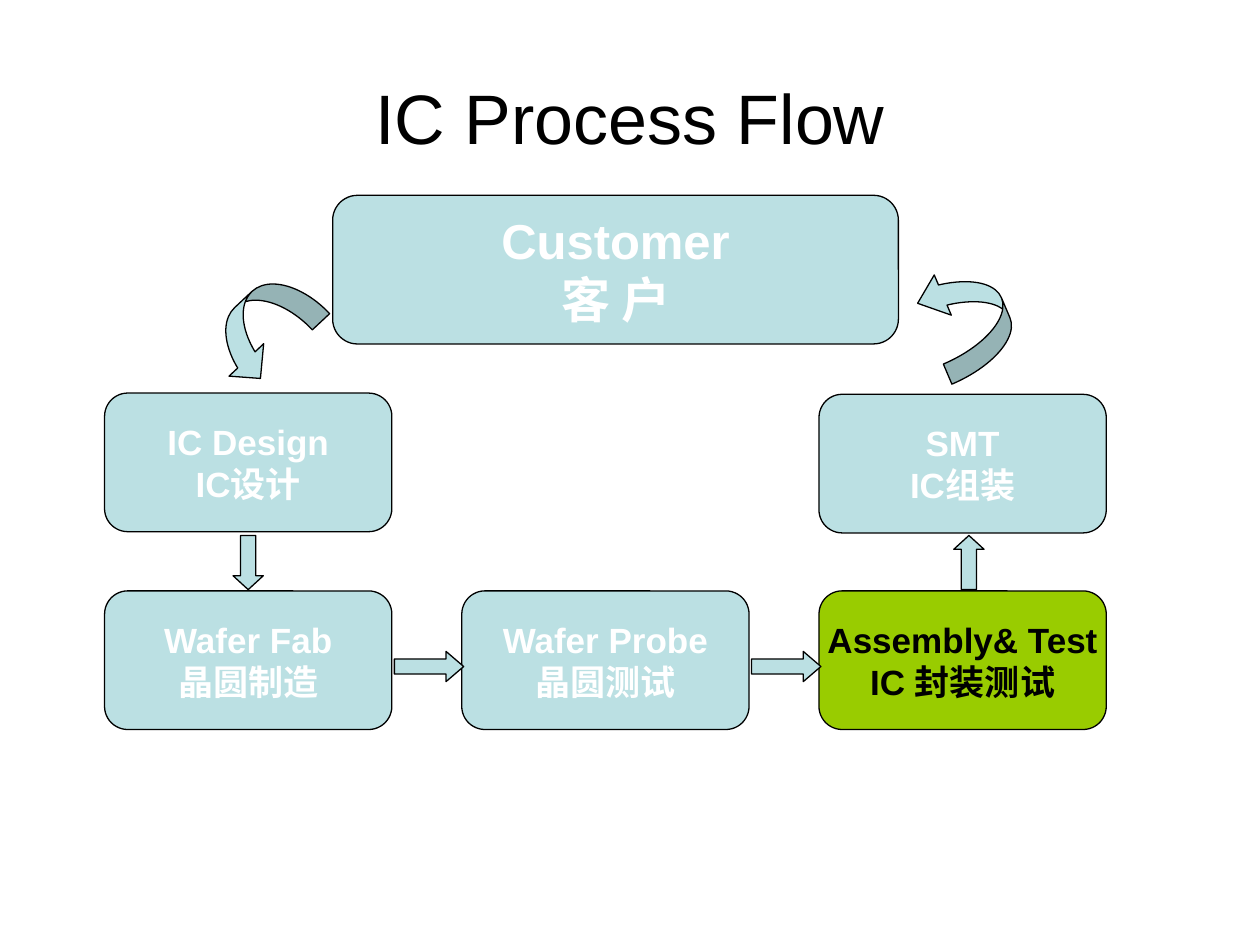
from pptx import Presentation
from pptx.dml.color import RGBColor
from pptx.enum.shapes import MSO_SHAPE
from pptx.enum.text import MSO_ANCHOR, PP_ALIGN
from pptx.util import Inches, Pt

THEME = {
    "font": "Arial",
    "pale": RGBColor(0xBB, 0xE0, 0xE3),
    "accent": RGBColor(0x99, 0xCC, 0x00),
    "dark": RGBColor(0, 0, 0),
    "light": RGBColor(0xFF, 0xFF, 0xFF),
    "title": Pt(40),
    "customer": Pt(28),
    "step": Pt(20),
    "line": Pt(0.75),
}

# Grid of process steps, in inches
BOX_WIDTH, BOX_HEIGHT = 2.28, 1.1
columns = [0.83 + 2.835 * index for index in range(3)]
rows = [3.12 + 1.57 * index for index in range(2)]

deck = Presentation()
deck.slide_width, deck.slide_height = Inches(10), Inches(7.5)
page = deck.slides.add_slide(deck.slide_layouts[5])


def add_block(kind, left, top, width, height, fill=THEME["pale"], adjustments=()):
    shape = page.shapes.add_shape(
        kind, Inches(left), Inches(top), Inches(width), Inches(height))
    shape.shadow.inherit = False
    shape.fill.solid()
    shape.fill.fore_color.rgb = fill
    shape.line.color.rgb = THEME["dark"]
    shape.line.width = THEME["line"]
    for index, value in enumerate(adjustments):
        shape.adjustments[index] = value
    return shape


def format_text(frame, size, color, bold):
    frame.vertical_anchor = MSO_ANCHOR.MIDDLE
    for para in frame.paragraphs:
        para.alignment = PP_ALIGN.CENTER
        for span in para.runs:
            span.font.name = THEME["font"]
            span.font.size = size
            span.font.bold = bold
            span.font.color.rgb = color


# Title
title = page.shapes.title
title.left, title.top = Inches(0.5), Inches(0.3)
title.width, title.height = Inches(9), Inches(1.25)
title.text_frame.text = "IC Process Flow"
format_text(title.text_frame, THEME["title"], THEME["dark"], False)

# Customer and process steps: text, place, size, type size, fill, text colour
step = (BOX_WIDTH, BOX_HEIGHT, THEME["step"])
plain = (THEME["pale"], THEME["light"])
boxes = [
    ("Customer\n客 户", 2.64, 1.55, 4.49, 1.18, THEME["customer"], *plain),
    ("IC Design\nIC设计", columns[0], rows[0], *step, *plain),
    ("Wafer Fab\n晶圆制造", columns[0], rows[1], *step, *plain),
    ("Wafer Probe\n晶圆测试", columns[1], rows[1], *step, *plain),
    ("Assembly& Test\nIC 封装测试", columns[2], rows[1], *step,
     THEME["accent"], THEME["dark"]),
    ("SMT\nIC组装", columns[2], rows[0] + 0.01, *step, *plain),
]
for text, left, top, width, height, size, fill, color in boxes:
    box = add_block(MSO_SHAPE.ROUNDED_RECTANGLE, left, top, width, height,
                    fill, [0.167])
    box.text_frame.word_wrap = False
    box.text_frame.text = text
    format_text(box.text_frame, size, color, True)

# Straight arrows in the gaps between steps
for kind, left in [(MSO_SHAPE.DOWN_ARROW, columns[0] + 1.02),
                   (MSO_SHAPE.UP_ARROW, columns[2] + 1.07)]:
    add_block(kind, left, rows[0] + BOX_HEIGHT + 0.03, 0.24, 0.43,
              adjustments=[0.5, 0.458])
for left in columns[:2]:
    add_block(MSO_SHAPE.RIGHT_ARROW, left + BOX_WIDTH + 0.02, rows[1] + 0.48,
              0.55, 0.24, adjustments=[0.5, 0.583])

# Curved arrows from and to the customer
from_customer = add_block(MSO_SHAPE.CURVED_RIGHT_ARROW, 1.81, 2.14, 0.55, 0.94,
                          adjustments=[0.342, 0.684, 0.333])
from_customer.rotation = 46.9
to_customer = add_block(MSO_SHAPE.CURVED_UP_ARROW, 7.24, 2.21, 0.87, 0.63,
                        adjustments=[0.275, 0.55, 0.333])
to_customer.rotation = 247

deck.save("out.pptx")
